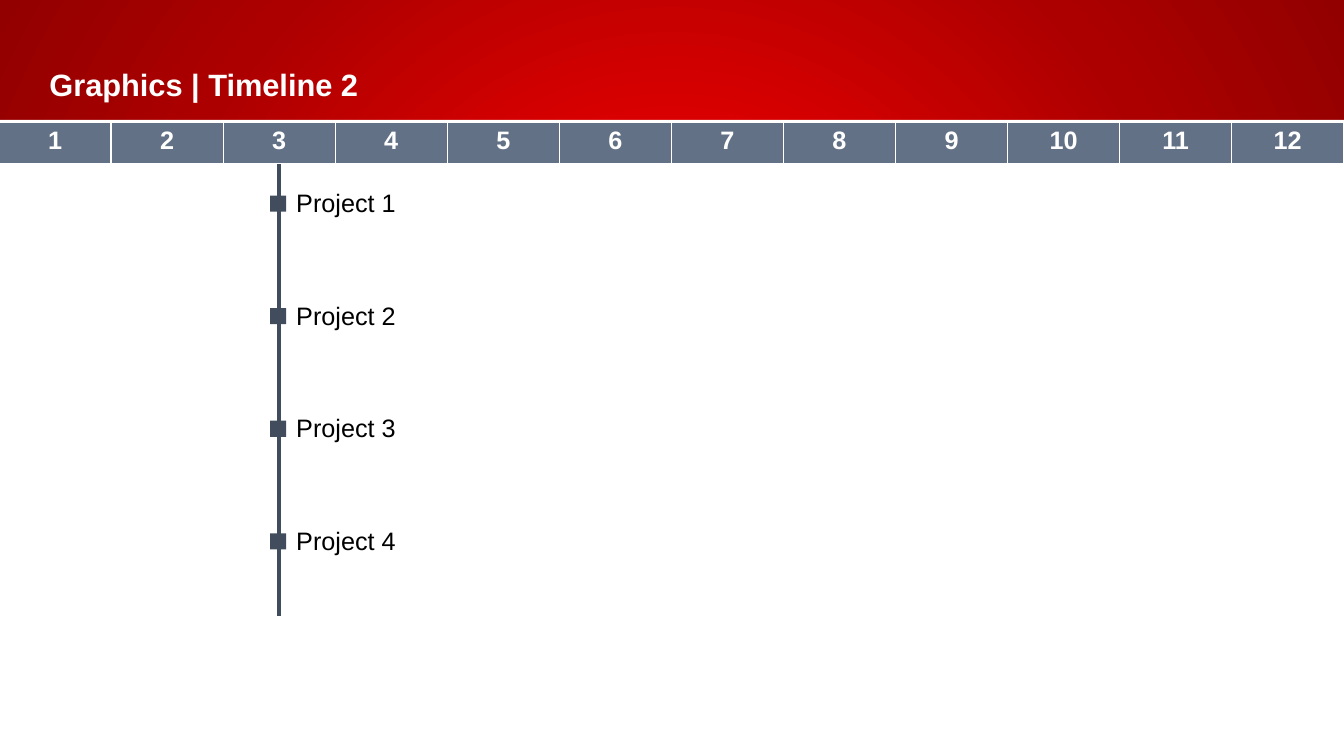
from lxml import etree
from pptx import Presentation
from pptx.dml.color import RGBColor
from pptx.enum.shapes import MSO_CONNECTOR, MSO_SHAPE
from pptx.enum.text import MSO_ANCHOR, MSO_AUTO_SIZE, PP_ALIGN
from pptx.oxml import parse_xml
from pptx.oxml.ns import nsdecls, qn
from pptx.util import Inches, Pt

LINE = MSO_CONNECTOR.STRAIGHT
RECT = MSO_SHAPE.RECTANGLE
BOTTOM = MSO_ANCHOR.BOTTOM
FIT = MSO_AUTO_SIZE.SHAPE_TO_FIT_TEXT
CENTER = PP_ALIGN.CENTER

TITLE = "Graphics | Timeline 2"
MONTHS = [str(n) for n in range(1, 13)]
ITEMS = ["Project 1", "Project 2", "Project 3", "Project 4"]
STOPS = [(0, "EF0000"), (16, "EF0000"), (69, "AC0000"), (100, "920000")]
WHITE, BLACK, SLATE, DARK = "FFFFFF", "000000", "627186", "414D5C"

WIDE, HIGH = 13.33, 7.5
HEAD = 1.19
BAR_TOP, BAR_HIGH = 1.21, 0.41
AXIS, AXIS_TOP, AXIS_END = 2.77, 1.55, 6.11
MARK = 0.16
FIRST, STEP = 1.94, 1.117


def color(text):
    return RGBColor.from_string(text)


def style(para, text, size, tint, bold=False):
    para.text = text
    font = para.font
    font.name, font.size, font.bold = "Arial", Pt(size), bold
    font.color.rgb = color(tint)


def block(slide, left, top, wide, high, tint):
    shape = slide.shapes.add_shape(RECT, *map(Inches, (left, top, wide, high)))
    shape.shadow.inherit = False
    shape.fill.solid()
    shape.fill.fore_color.rgb = color(tint)
    shape.line.fill.background()


def label(slide, left, top, wide, high):
    box = slide.shapes.add_textbox(*map(Inches, (left, top, wide, high)))
    return box.text_frame


def backdrop(slide):
    slide.background.fill.solid()
    stops = "".join(
        f'<a:gs pos="{at * 1000}"><a:srgbClr val="{tint}"/></a:gs>'
        for at, tint in STOPS)
    grad = parse_xml(
        f'<a:gradFill {nsdecls("a")} rotWithShape="1"><a:gsLst>{stops}</a:gsLst>'
        '<a:path path="circle"><a:fillToRect l="50000" t="50000" r="50000" '
        'b="50000"/></a:path></a:gradFill>')
    props = next(slide.element.iter(qn("p:bgPr")))
    props.replace(props[0], grad)


def border(cell):
    props = cell._tc.get_or_add_tcPr()
    for spot, side in enumerate(("lnL", "lnR")):
        props.insert(spot, parse_xml(
            f'<a:{side} {nsdecls("a")} w="12700"><a:solidFill>'
            f'<a:srgbClr val="{WHITE}"/></a:solidFill></a:{side}>'))


def header(slide):
    block(slide, 0, HEAD, WIDE, HIGH - HEAD, WHITE)
    frame = label(slide, 0, 0.49, 11.09, 0.69)
    frame.word_wrap = True
    frame.vertical_anchor = BOTTOM
    frame.margin_left = Inches(0.49)
    frame.margin_top = frame.margin_bottom = Inches(0.16)
    style(frame.paragraphs[0], TITLE, 22, WHITE, True)


def axis(slide):
    ends = map(Inches, (AXIS, AXIS_TOP, AXIS, AXIS_END))
    line = slide.shapes.add_connector(LINE, *ends)
    line.line.color.rgb = color(DARK)
    line.line.width = Pt(3)
    etree.SubElement(line._element.spPr, qn("a:effectLst"))


def calendar(slide):
    count = len(MONTHS)
    spot = map(Inches, (-0.01, BAR_TOP, WIDE + 0.01, BAR_HIGH))
    table = slide.shapes.add_table(1, count, *spot).table
    table.first_row = table.horz_banding = False
    for col, month in enumerate(MONTHS):
        cell = table.cell(0, col)
        cell.fill.solid()
        cell.fill.fore_color.rgb = color(SLATE)
        border(cell)
        para = cell.text_frame.paragraphs[0]
        para.alignment = CENTER
        style(para, month, 18, WHITE, True)


def projects(slide):
    left = AXIS - MARK / 2 - 0.01
    for row, item in enumerate(ITEMS):
        top = FIRST + row * STEP
        block(slide, left, top, MARK, MARK, DARK)
        frame = label(slide, left + MARK, top - 0.13, 1.2, 0.4)
        frame.word_wrap = False
        frame.auto_size = FIT
        style(frame.paragraphs[0], item, 18, BLACK)


def main():
    deck = Presentation()
    deck.slide_width, deck.slide_height = Inches(WIDE), Inches(HIGH)
    slide = deck.slides.add_slide(deck.slide_layouts[6])
    for draw in (backdrop, header, axis, calendar, projects):
        draw(slide)
    deck.save("out.pptx")


if __name__ == "__main__":
    main()
